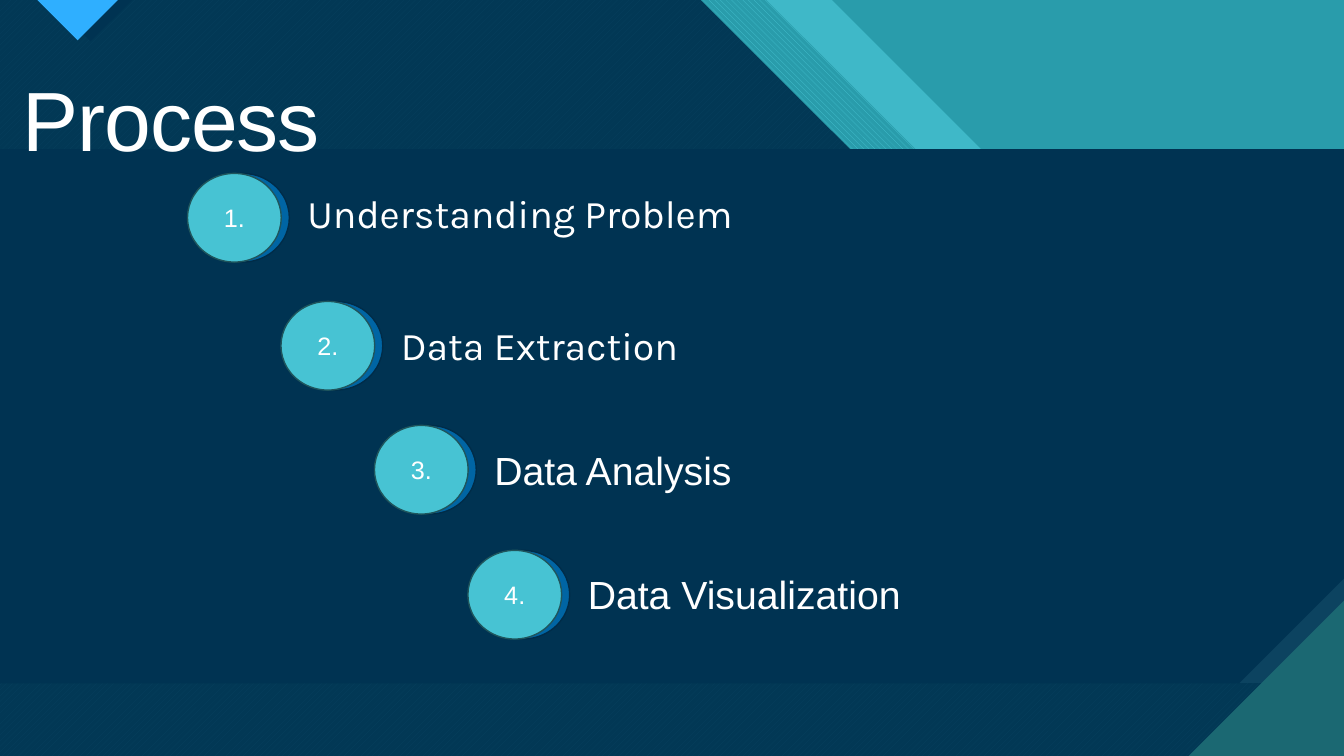
from lxml import etree
from pptx import Presentation
from pptx.dml.color import RGBColor
from pptx.enum import dml, shapes, text
from pptx.oxml.ns import qn
from pptx.util import Inches, Pt

NAVY = RGBColor(0x00, 0x33, 0x52)
SLATE = RGBColor(0x0C, 0x43, 0x60)
TEAL = RGBColor(0x29, 0x9C, 0xAB)
AQUA = RGBColor(0x47, 0xC3, 0xD3)
PINE = RGBColor(0x1B, 0x68, 0x72)
SKY = RGBColor(0x2F, 0xAF, 0xFF)
BLUE = RGBColor(0x00, 0x65, 0xA4)
INK = RGBColor(0x00, 0x2C, 0x48)
MOSS = RGBColor(0x1F, 0x55, 0x5C)
WHITE = RGBColor(0xFF, 0xFF, 0xFF)

WIDE, HIGH = 13.33, 7.5
TOP, BASE = 1.48, 6.78  # panel edges
SNIP = 1.04
DISC = (0.93, 0.88)

# Label, font, disc top, label top
STEPS = [
    ("Understanding Problem", "Karla", 1.72, 1.83),
    ("Data Extraction", "Karla", 2.99, 3.14),
    ("Data Analysis", "Arial", 4.22, 4.38),
    ("Data Visualization", "Arial", 5.46, 5.61),
]


def paint(shape, color, alpha=None):
    shape.shadow.inherit = False
    shape.fill.solid()
    shape.fill.fore_color.rgb = color
    if alpha:
        tone = shape.fill._xPr.find(qn("a:solidFill"))[0]
        etree.SubElement(tone, qn("a:alpha")).set("val", str(alpha * 1000))


def weave(shape, kind, fore, back):
    shape.fill.patterned()
    shape.fill.pattern = kind
    shape.fill.fore_color.rgb = fore
    shape.fill.back_color.rgb = back


def shard(slide, points, color, alpha=None):
    spots = [(Inches(x), Inches(y)) for x, y in points]
    pen = slide.shapes.build_freeform(*spots[0])
    pen.add_line_segments(spots[1:], close=True)
    shape = pen.convert_to_shape()
    paint(shape, color, alpha)
    shape.line.fill.background()
    return shape


def sweep(start, knee, right):
    """Outline of a layer cut by a diagonal from the top edge."""
    return [(0, 0), (start, 0), (start + 2.97, 2.97), (knee, 2.97),
            (WIDE, right), (WIDE, HIGH), (0, HIGH)]


def disc(slide, left, top, color, edge):
    shape = slide.shapes.add_shape(
        shapes.MSO_SHAPE.OVAL, Inches(left), Inches(top), *map(Inches, DISC))
    paint(shape, color)
    shape.line.color.rgb = edge
    shape.line.width = Pt(1)
    return shape


def write(frame, words, size, face="Arial", align=text.PP_ALIGN.LEFT):
    frame.word_wrap = True
    para = frame.paragraphs[0]
    para.alignment = align
    run = para.add_run()
    run.text = words
    for key, value in {"size": Pt(size), "name": face, "bold": False}.items():
        setattr(run.font, key, value)
    run.font.color.rgb = WHITE
    return run


def decor(slide):
    # Diagonal bands
    fill = slide.background.fill
    fill.solid()
    fill.fore_color.rgb = TEAL
    shard(slide, sweep(8.25, 12.34, 3.96), AQUA, 74)
    band = shard(slide, sweep(7.6, 11.84, 4.47), AQUA)
    weave(band, dml.MSO_PATTERN.WIDE_DOWNWARD_DIAGONAL, AQUA, TEAL)
    dark = sweep(6.95, 11.18, 5.12)
    weave(shard(slide, dark, AQUA),
          dml.MSO_PATTERN.WIDE_UPWARD_DIAGONAL, AQUA, PINE)
    shard(slide, dark, NAVY, 90)
    # Top marker
    shard(slide, [(0.48, 0), (1.31, 0), (0.9, 0.41)], NAVY)
    shard(slide, [(0.37, 0), (1.17, 0), (0.77, 0.4)], SKY)
    # Panel with a cut corner
    shard(slide, [(0, TOP), (WIDE, TOP), (WIDE, BASE), (0, BASE)], SLATE)
    shard(slide, [(0, TOP), (WIDE, TOP), (WIDE, BASE - SNIP),
                  (WIDE - SNIP, BASE), (0, BASE)], NAVY)
    shard(slide, [(11.79, HIGH), (WIDE, HIGH), (WIDE, 5.96)], PINE)


def head(slide):
    title = slide.shapes.title
    box = {"left": 0.14, "top": 0.34, "width": 3.03, "height": 1.2}
    for key, value in box.items():
        setattr(title, key, Inches(value))
    frame = title.text_frame
    for side in ("left", "top", "right", "bottom"):
        setattr(frame, "margin_" + side, 0)
    frame.auto_size = text.MSO_AUTO_SIZE.NONE
    frame.vertical_anchor = text.MSO_ANCHOR.TOP
    run = write(frame, "Process", 60, align=text.PP_ALIGN.RIGHT)
    run.font._element.set("spc", "-80")
    frame.paragraphs[0].line_spacing = Pt(96)
    # Bring the title in front of the bands
    slide.shapes._spTree.append(title._element)


def step(slide, index, label, face, top, low):
    left = 1.86 + 0.927 * index
    disc(slide, left + 0.08, top, BLUE, INK)
    front = disc(slide, left, top, AQUA, MOSS)
    front.text_frame.vertical_anchor = text.MSO_ANCHOR.MIDDLE
    write(front.text_frame, f"{index + 1}.", 18, align=text.PP_ALIGN.CENTER)
    box = slide.shapes.add_textbox(
        Inches(left + 1.09), Inches(low), Inches(5.31), Inches(0.57))
    write(box.text_frame, label, 28, face)


def main():
    deck = Presentation()
    deck.slide_width, deck.slide_height = Inches(WIDE), Inches(HIGH)
    slide = deck.slides.add_slide(deck.slide_layouts[5])
    decor(slide)
    head(slide)
    for index, item in enumerate(STEPS):
        step(slide, index, *item)
    deck.save("out.pptx")


if __name__ == "__main__":
    main()
